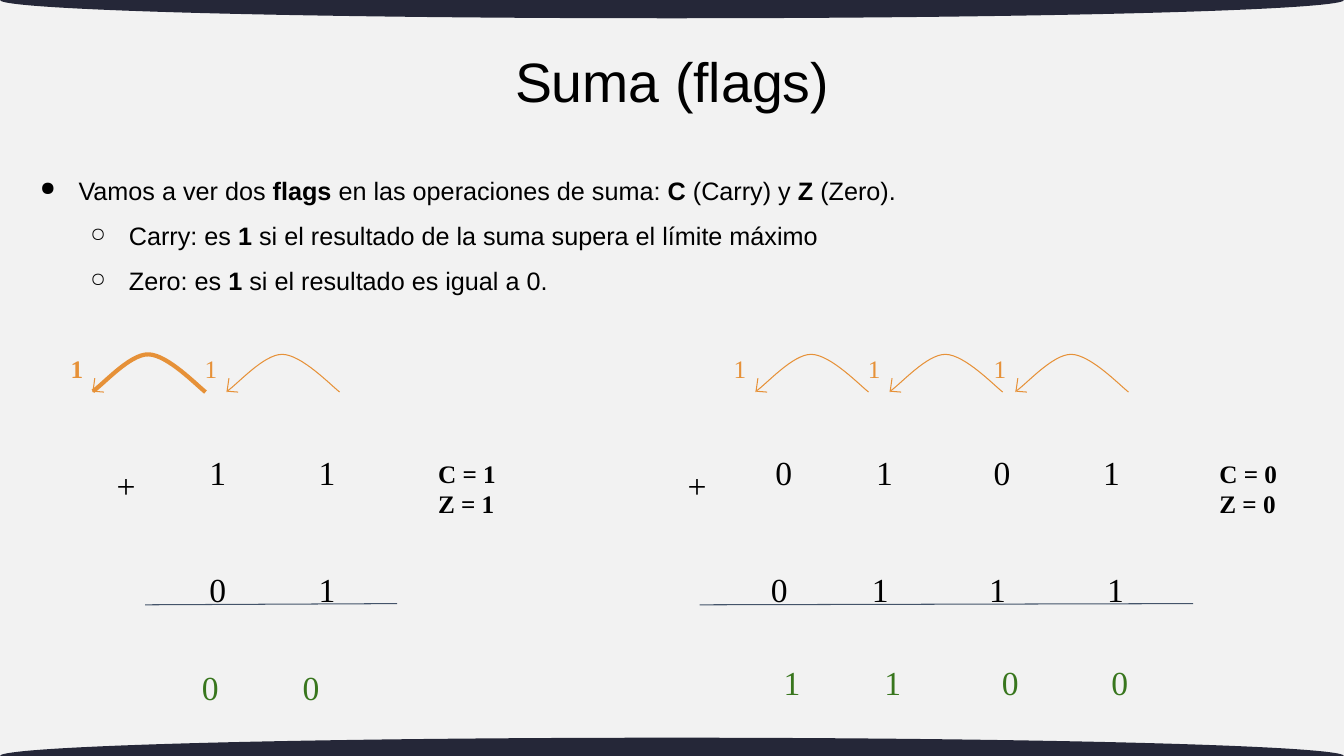
from lxml import etree
from pptx import Presentation
from pptx import util as u
from pptx.dml.color import RGBColor
from pptx.enum import shapes, text
from pptx.oxml.ns import qn

Cm = u.Cm
hue = {"back": "F2F2F2", "band": "252738", "ink": "000000",
       "rule": "44546A", "carry": "E69138", "sum": "38761D"}
hue = {name: RGBColor.from_string(code) for name, code in hue.items()}
serif = "Times New Roman"


def box(home, left, top, width, height, pad=0.25):
    frame = home.add_textbox(Cm(left), Cm(top), Cm(width), Cm(height)).text_frame
    frame.word_wrap = True
    frame.margin_left = frame.margin_right = Cm(0.25)
    frame.margin_top = frame.margin_bottom = Cm(pad)
    return frame


def write(para, words, size, color="ink", face=serif, bold=False):
    run = para.add_run()
    run.text = words
    run.font.size = u.Pt(size)
    run.font.name = face
    run.font.bold = bold
    run.font.color.rgb = hue[color]


deck = Presentation()
deck.slide_width, deck.slide_height = Cm(33.87), Cm(19.05)
slide = deck.slides.add_slide(deck.slide_layouts[6])
slide.background.fill.solid()
slide.background.fill.fore_color.rgb = hue["back"]
page = slide.shapes

for top in (-0.46, 18.59):
    band = page.add_shape(shapes.MSO_SHAPE.OVAL, 0, Cm(top), Cm(33.87), Cm(0.92))
    band.shadow.inherit = False
    band.fill.solid()
    band.fill.fore_color.rgb = hue["band"]
    band.line.fill.background()

points = [
    (0, "●", [("Vamos a ver dos ", False), ("flags", True),
              (" en las operaciones de suma: ", False), ("C", True),
              (" (Carry) y ", False), ("Z ", True), ("(Zero).", False)]),
    (1, "○", [("Carry: es ", False), ("1 ", True),
              ("si el resultado de la suma supera el límite máximo", False)]),
    (1, "○", [("Zero: es ", False), ("1 ", True),
              ("si el resultado es igual a 0.", False)]),
]
frame = box(page, 0.46, 3.28, 29.46, 4.93, 0.13)
frame.vertical_anchor = text.MSO_ANCHOR.MIDDLE
for row, (level, mark, parts) in enumerate(points):
    para = frame.add_paragraph() if row else frame.paragraphs[0]
    para.level = level
    props = para._p.get_or_add_pPr()
    props.set("marL", str(Cm(1.27 * (level + 1))))
    props.set("indent", str(Cm(-0.97)))
    tint = etree.SubElement(props, qn("a:buClr"))
    etree.SubElement(tint, qn("a:srgbClr"), val=str(hue["ink"]))
    etree.SubElement(props, qn("a:buSzPct"), val="78000")
    etree.SubElement(props, qn("a:buChar"), char=mark)
    para.line_spacing = 1.5
    for words, bold in parts:
        write(para, words, 18, face="Arial", bold=bold)

frame = box(page, 8.71, 0.94, 16.46, 2.39, 0.13)
frame.vertical_anchor = text.MSO_ANCHOR.MIDDLE
para = frame.paragraphs[0]
para.alignment = text.PP_ALIGN.CENTER
para.line_spacing = 0.9
write(para, "Suma (flags)", 39.6, face="Arial")

rows = [
    ("0101", 18.59, 10.11, 10.57, 0.95, (2.54, 5.5, 8.26), "ink"),
    ("0111", 18.59, 13.08, 10.57, 0.84, (2.54, 5.5, 8.47), "ink"),
    ("1100", 18.42, 15.41, 11.35, 1.33, (2.54, 5.5, 8.26), "sum"),
    ("11", 3.84, 10.11, 6.05, 1.44, (2.75,), "ink"),
    ("01", 3.84, 13.08, 6.05, 1.44, (2.75,), "ink"),
    ("00", 4.62, 15.54, 4.5, 0.47, (2.54,), "sum"),
]
for bits, left, top, width, inset, stops, color in rows:
    frame = box(page, left, top, width, 1.65)
    frame.margin_left = Cm(inset)
    para = frame.paragraphs[0]
    tabs = etree.SubElement(para._p.get_or_add_pPr(), qn("a:tabLst"))
    for stop in stops:
        etree.SubElement(tabs, qn("a:tab"), pos=str(Cm(stop)), algn="l")
    para.line_spacing = 2.0
    write(para, "\t".join(bits), 24, color)

sums = [(2.69, 3.66, 10.01, 10.79, 1), (17.08, 17.63, 30.07, 30.48, 0)]
for plus, start, end, flag, value in sums:
    write(box(page, plus, 11.47, 1.17, 1.52).paragraphs[0], "+", 24)
    rule = page.add_connector(shapes.MSO_CONNECTOR.STRAIGHT,
                              Cm(end), Cm(15.21), Cm(start), Cm(15.24))
    rule.line.color.rgb = hue["rule"]
    rule.line.width = u.Pt(0.75)
    etree.SubElement(rule._element.spPr, qn("a:effectLst"))
    frame = box(page, flag, 11.3, 2.39, 1.91)
    write(frame.paragraphs[0], f"C = {value}", 18, bold=True)
    write(frame.add_paragraph(), f"Z = {value}", 18, bold=True)

arc = [(2.61, 9.7), (1.88, 8.94), (1.4, 8.93),
       (0.93, 8.92), (0.25, 9.7), (0, 9.86)]
barbs = [(0.05, 9.53, 0, 9.88), (0.28, 9.88, 0.03, 9.86)]

for left, last in [(25.6, False), (22.43, False), (19.05, False),
                   (5.72, False), (2.34, True)]:
    group = page.add_group_shape().shapes
    pen = group.build_freeform(Cm(left + 2.84), Cm(9.88))
    pen.add_line_segments([(Cm(left + x), Cm(y)) for x, y in arc], close=False)
    bow = pen.convert_to_shape()
    track = next(bow._element.iter(qn("a:path")))
    legs = track.findall(qn("a:lnTo"))
    for first in (0, 3):
        curve = etree.SubElement(track, qn("a:cubicBezTo"))
        for leg in legs[first:first + 3]:
            curve.append(leg[0])
            track.remove(leg)
    bow.shadow.inherit = False
    bow.fill.background()
    bow.line.color.rgb = hue["carry"]
    bow.line.width = u.Pt(3 if last else 0.75)
    for x, y, tox, toy in barbs:
        barb = group.add_connector(shapes.MSO_CONNECTOR.STRAIGHT,
                                   Cm(left + x), Cm(y), Cm(left + tox), Cm(toy))
        barb.line.color.rgb = hue["carry"]
        barb.line.width = u.Pt(0.75)
        etree.SubElement(barb._element.spPr, qn("a:effectLst"))
    frame = box(group, left - 0.81, 8.65, 0.81, 1.02)
    write(frame.paragraphs[0], "1", 18, "carry", bold=last)

deck.save("out.pptx")
